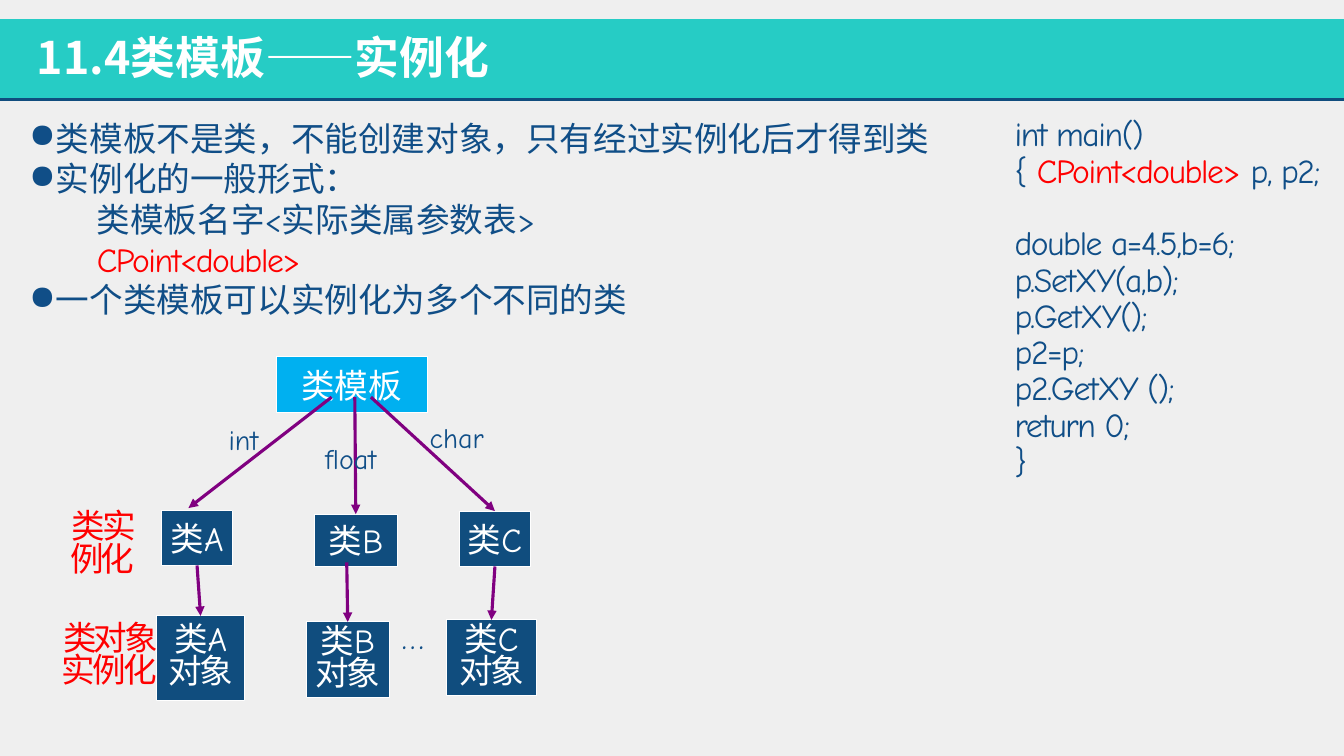
from dataclasses import dataclass
from typing import Optional

from lxml import etree
from pptx import Presentation
from pptx import util as u
from pptx.dml.color import RGBColor
from pptx.enum import shapes, text
from pptx.oxml import ns

# Grid of 80 columns by 45 rows
COLUMNS, ROWS = 80, 45
WIDTH, HEIGHT = u.Inches(13.333), u.Inches(7.5)

TEAL, NAVY, INK, SKY = "26CCC5", "104D7E", "104E87", "00B0F0"
RED, PURPLE, WHITE, PALE = "FF0000", "800080", "FFFFFF", "EFEFEF"
LATIN, CHINESE = "Comic Neue", "Noto Sans CJK JP"
TOP, BOTTOM = 0, 2


@dataclass
class Area:
    column: float
    row: float
    columns: float
    rows: float

    def lengths(self) -> tuple:
        return (across(self.column), down(self.row),
                across(self.columns), down(self.rows))


@dataclass
class Piece:
    words: str
    color: str = INK
    spacing: float = 0
    size: float = 24
    font: str = LATIN
    bold: bool = False


@dataclass
class Line:
    pieces: list
    bullet: bool = False
    indent: float = 0
    before: float = 0
    leading: Optional[float] = None
    centered: bool = False


@dataclass
class Branch:
    letter: str
    spacing: float
    class_area: Area
    object_area: Area
    start: tuple
    tip: Optional[tuple]
    drop: Optional[tuple]


@dataclass
class Label:
    area: Area
    words: str
    size: float = 20
    color: str = INK
    spacing: float = 0
    leading: Optional[float] = None
    margins: tuple = (0.1, 0.05)


def across(columns: float) -> int:
    return round(WIDTH * columns / COLUMNS)


def down(rows: float) -> int:
    return round(HEIGHT * rows / ROWS)


def rgb(color: str) -> RGBColor:
    return RGBColor.from_string(color)


def write(frame, lines: list) -> None:
    for number, line in enumerate(lines):
        paragraph = frame.paragraphs[0] if number == 0 else frame.add_paragraph()
        paragraph.alignment = text.PP_ALIGN.CENTER if line.centered else text.PP_ALIGN.LEFT
        if line.leading:
            paragraph.line_spacing = line.leading
        if line.before:
            paragraph.space_before = u.Pt(line.before)
        properties = paragraph._p.get_or_add_pPr()
        if line.indent:
            properties.set("marL", str(u.Inches(line.indent)))
        if line.bullet:
            properties.set("indent", str(-u.Inches(line.indent)))
            etree.SubElement(properties, ns.qn("a:buChar"), char="●")
        for piece in line.pieces:
            run = paragraph.add_run()
            run.text = piece.words
            run.font.size = u.Pt(piece.size)
            run.font.bold = piece.bold
            run.font.color.rgb = rgb(piece.color)
            run.font.name = piece.font
            run_properties = run._r.get_or_add_rPr()
            run_properties.set("lang", "zh-CN")
            run_properties.set("spc", str(round(piece.spacing * 100)))
            etree.SubElement(run_properties, ns.qn("a:ea"), typeface=CHINESE)


def add_text(slide, area: Area, lines: list, margins: tuple = (0.1, 0.05)) -> None:
    frame = slide.shapes.add_textbox(*area.lengths()).text_frame
    frame.word_wrap = True
    frame.auto_size = text.MSO_AUTO_SIZE.SHAPE_TO_FIT_TEXT
    frame.margin_left = frame.margin_right = u.Inches(margins[0])
    frame.margin_top = frame.margin_bottom = u.Inches(margins[1])
    write(frame, lines)


def add_box(slide, area: Area, fill: str, lines: list, outlined: bool = True):
    shape = slide.shapes.add_shape(shapes.MSO_SHAPE.RECTANGLE, *area.lengths())
    shape.shadow.inherit = False
    shape.fill.solid()
    shape.fill.fore_color.rgb = rgb(fill)
    if outlined:
        shape.line.color.rgb = rgb(WHITE)
        shape.line.width = u.Pt(0.75)
    else:
        shape.line.fill.background()
    frame = shape.text_frame
    frame.margin_left = frame.margin_right = frame.margin_top = frame.margin_bottom = 0
    frame.word_wrap = False
    frame.vertical_anchor = text.MSO_ANCHOR.MIDDLE
    write(frame, lines)
    return shape


def add_line(slide, start: tuple, end: tuple, color: str, width: float, arrow: bool = False):
    connector = slide.shapes.add_connector(
        shapes.MSO_CONNECTOR.STRAIGHT,
        across(start[0]), down(start[1]), across(end[0]), down(end[1]))
    connector.line.color.rgb = rgb(color)
    connector.line.width = u.Pt(width)
    if arrow:
        etree.SubElement(connector.line._get_or_add_ln(), ns.qn("a:tailEnd"), type="triangle")
    etree.SubElement(connector._element.spPr, ns.qn("a:effectLst"))
    return connector


def add_arrow(slide, start: tuple, tip: Optional[tuple], target, source=None) -> None:
    """Join the arrow to the target's top unless it has a free tip."""
    connector = add_line(slide, start, tip or start, PURPLE, 2.25, arrow=True)
    if source is not None:
        connector.begin_connect(source, BOTTOM)
    if tip is None:
        connector.end_connect(target, TOP)


CODE = [[Piece("int main()")],
        [Piece("{ "), Piece("CPoint<double>", RED), Piece(" p, p2;")]]
CODE += [[Piece(words)] for words in (
    "double a=4.5,b=6;", "p.SetXY(a,b);", "p.GetXY();", "p2=p;",
    "p2.GetXY ();", "return 0;", "}")]

POINTS = [
    Line([Piece("类模板不是类，不能创建对象，只有经过实例化后才得到类")], True, 0.19),
    Line([Piece("实例化的一般形式：")], True, 0.19),
    Line([Piece("类模板名字<实际类属参数表>")], indent=0.67),
    Line([Piece("CPoint<double>", RED, -1)], indent=0.67),
    Line([Piece("一个类模板可以实例化为多个不同的类")], True, 0.19),
]

# A missing tip means the arrow joins its box; a missing drop, that it leaves from one
BRANCHES = [
    Branch("A", -2.6, Area(9.6, 30.36, 4.26, 3.3), Area(9.3, 36.66, 5.28, 5.04),
           (19.74, 23.64), (11.22, 30.24), None),
    Branch("B", -2, Area(18.72, 30.6, 4.92, 3.12), Area(18.24, 37.02, 4.92, 4.5),
           (21.12, 23.64), None, (20.64, 33.48)),
    Branch("C", -2, Area(27.36, 30.42, 4.2, 3.3), Area(26.58, 36.9, 5.34, 4.5),
           (22.08, 23.64), None, None),
]

LABELS = [
    Label(Area(12.12, 25.14, 4.74, 2.04), "int", margins=(0, 0)),
    Label(Area(17.58, 25.98, 6.6, 2.64), "float"),
    Label(Area(24.36, 24.72, 5.64, 2.64), "char"),
    Label(Area(22.68, 36.36, 3.78, 3), "…", 24, INK, -2),
    Label(Area(3.48, 30.24, 5.22, 4.62), "类实例化", 24, RED, -2, 0.8),
    Label(Area(3.3, 36.9, 6.42, 4.62), "类对象实例化", 24, RED, -2, 0.8, (0, 0.05)),
]


def main() -> None:
    presentation = Presentation()
    presentation.slide_width, presentation.slide_height = WIDTH, HEIGHT
    slide = presentation.slides.add_slide(presentation.slide_layouts[6])
    slide.background.fill.solid()
    slide.background.fill.fore_color.rgb = rgb(PALE)

    # Title band
    add_box(slide, Area(0, 1.14, COLUMNS, 4.8), TEAL, [], outlined=False)
    add_line(slide, (0, 5.94), (COLUMNS, 5.94), NAVY, 2)
    add_text(slide, Area(1.6, 1.5, 49.75, 3.84),
             [Line([Piece("11.4类模板——实例化", WHITE, 0, 32, CHINESE, True)])])

    # Code, with a gap after the declarations
    for piece in (piece for pieces in CODE for piece in pieces):
        piece.spacing = -1
    add_text(slide, Area(59.8, 6.72, 20.2, 20.2),
             [Line(pieces, leading=0.9, before=26 if number == 2 else 0)
              for number, pieces in enumerate(CODE)])

    # Bullet points
    add_text(slide, Area(1.15, 6.72, 58.65, 12.7), POINTS)

    # Template, classes and objects
    add_box(slide, Area(16.44, 21.24, 9, 3.3), SKY,
            [Line([Piece("类模板", WHITE)], centered=True)])
    for branch in BRANCHES:
        name = "类" + branch.letter
        class_box = add_box(slide, branch.class_area, NAVY, [
            Line([Piece(name, WHITE, branch.spacing)], centered=True)])
        object_box = add_box(slide, branch.object_area, NAVY, [
            Line([Piece(words, WHITE, -2)], leading=0.8, centered=True)
            for words in (name, "对象")])
        add_arrow(slide, branch.start, branch.tip, class_box)
        add_arrow(slide, branch.drop or (0, 0), None, object_box,
                  None if branch.drop else class_box)

    # Diagram labels
    for label in LABELS:
        piece = Piece(label.words, label.color, label.spacing, label.size)
        add_text(slide, label.area,
                 [Line([piece], leading=label.leading, centered=True)], label.margins)

    presentation.save("out.pptx")


if __name__ == "__main__":
    main()
